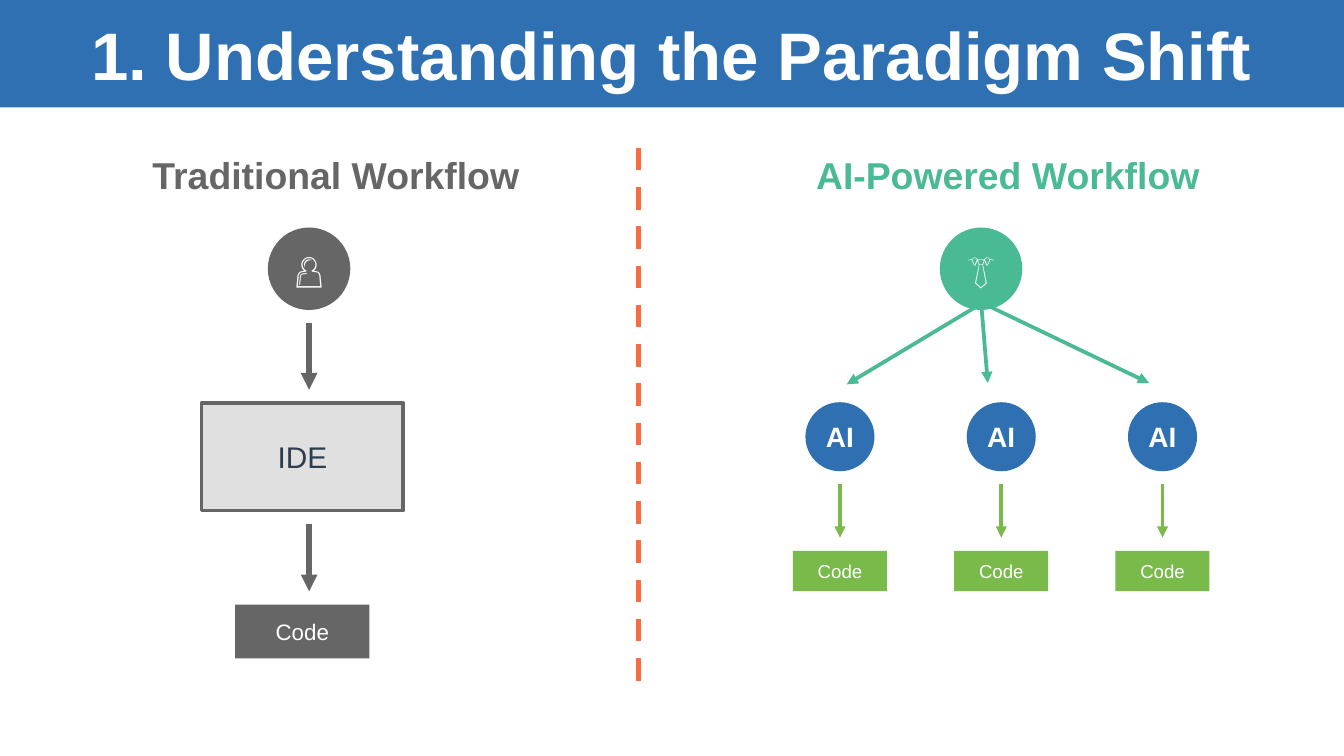
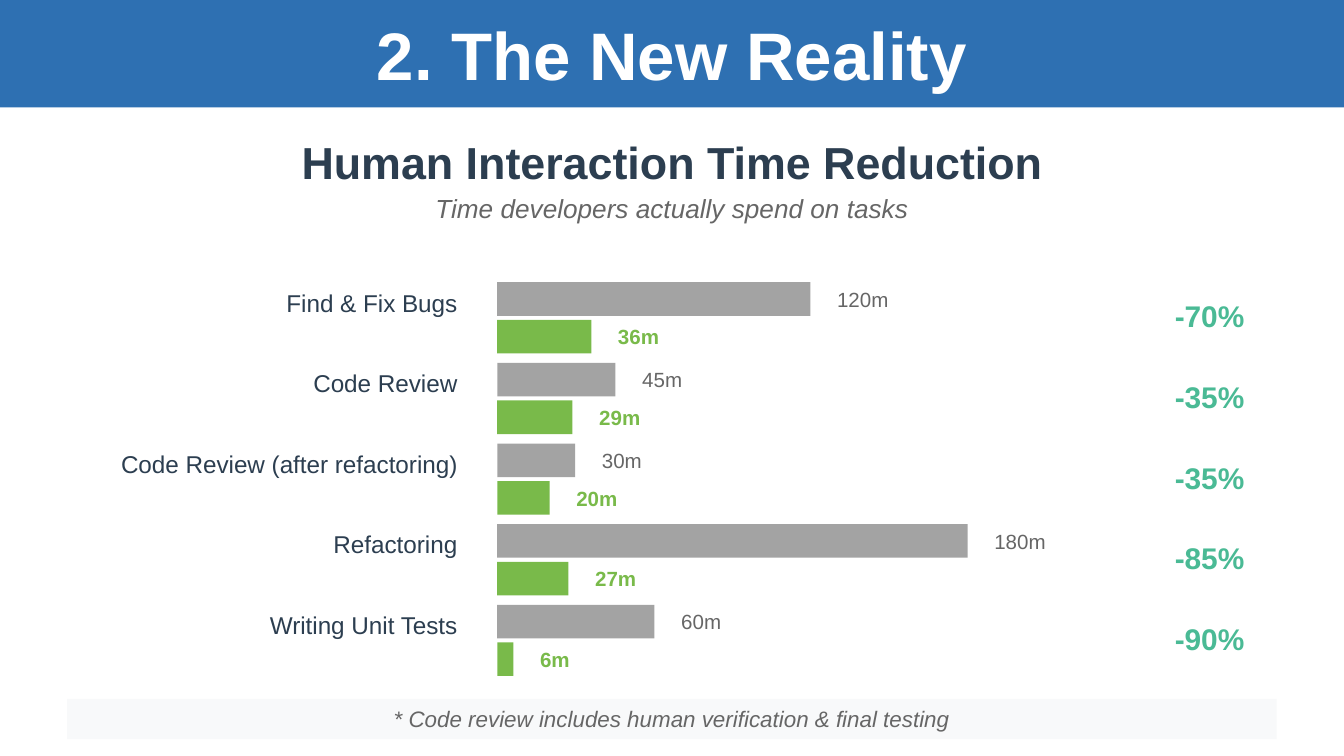
from collections import namedtuple
from dataclasses import dataclass

from lxml import etree
from pptx import Presentation
from pptx import util as u
from pptx.dml.color import RGBColor
from pptx.enum import dml, shapes, text
from pptx.oxml import ns

PX = 9144
RECT = shapes.MSO_SHAPE.RECTANGLE
OVAL = shapes.MSO_SHAPE.OVAL
LEFT, CENTER, RIGHT = text.PP_ALIGN.LEFT, text.PP_ALIGN.CENTER, text.PP_ALIGN.RIGHT


@dataclass(frozen=True)
class Theme:
    font: str = "Arial"
    white: str = "FFFFFF"
    blue: str = "2E70B2"
    grey: str = "666666"
    pale: str = "E0E0E0"
    ink: str = "2C3E50"
    teal: str = "4ABA95"
    green: str = "79BA4A"
    orange: str = "F56D40"
    note: str = "F8F9FA"
    title: int = 36
    subtitle: int = 24
    heading: int = 20
    icon: int = 18
    large: int = 16
    agent: int = 15
    tagline: int = 14
    label: int = 13
    body: int = 12
    value: int = 11
    small: int = 10


T = Theme()


class Box(namedtuple("Box", "x y w h")):
    def sub(self, dx, dy, w, h):
        return Box(self.x + dx, self.y + dy, w, h)

    def emu(self):
        return [v * PX for v in self]


def rgb(color):
    return RGBColor.from_string(color)


def write(tf, words, size=T.body, color=T.ink, align=CENTER, bold=False, italic=False):
    tf.vertical_anchor = text.MSO_ANCHOR.MIDDLE
    p = tf.paragraphs[0]
    p.alignment = align
    r = p.add_run()
    r.text = words
    f = r.font
    f.name, f.size, f.bold, f.italic = T.font, u.Pt(size), bold, italic
    f.color.rgb = rgb(color)


def add_text(s, box, words, **fmt):
    tf = s.shapes.add_textbox(*box.emu()).text_frame
    tf.word_wrap = True
    write(tf, words, **fmt)


def add_block(s, kind, box, fill, line=None, width=1, alpha=None, words=None, **fmt):
    sp = s.shapes.add_shape(kind, *box.emu())
    sp.shadow.inherit = False
    sp.fill.solid()
    sp.fill.fore_color.rgb = rgb(fill)
    if alpha:
        clr = sp._element.spPr.find(".//" + ns.qn("a:srgbClr"))
        etree.SubElement(clr, ns.qn("a:alpha"), val=str(alpha * 1000))
    if line:
        sp.line.color.rgb = rgb(line)
        sp.line.width = u.Pt(width)
    else:
        sp.line.fill.background()
    if words:
        tf = sp.text_frame
        tf.word_wrap = False
        tf.margin_left = tf.margin_right = tf.margin_top = tf.margin_bottom = 0
        write(tf, words, **fmt)


def add_line(s, x1, y1, x2, y2, color, width, arrow=True, dash=None):
    ends = [v * PX for v in (x1, y1, x2, y2)]
    c = s.shapes.add_connector(shapes.MSO_CONNECTOR.STRAIGHT, *ends)
    c.line.color.rgb = rgb(color)
    c.line.width = u.Pt(width)
    if dash:
        c.line.dash_style = dash
    spPr = c._element.spPr
    if arrow:
        etree.SubElement(spPr.find(ns.qn("a:ln")), ns.qn("a:tailEnd"), type="triangle")
    etree.SubElement(spPr, ns.qn("a:effectLst"))


def title_band(s, box, words):
    add_block(s, RECT, box, T.blue)
    add_text(s, box.sub(50, 10, box.w - 100, box.h - 20), words,
             size=T.title, color=T.white, bold=True)


def workflow_head(s, box, heading, icon, color):
    add_text(s, box.sub(0, 0, box.w, 40), heading, size=T.heading, color=color, bold=True)
    add_block(s, OVAL, box.sub(150, 60, 60, 60), color, line=color,
              words=icon, size=T.icon, color=T.white, bold=True)


def traditional_workflow(s, box):
    workflow_head(s, box, "Traditional Workflow", "👤", T.grey)
    x = box.x + 180
    for dy in (130, 280):
        add_line(s, x, box.y + dy, x, box.y + dy + 50, T.grey, 3)
    add_block(s, RECT, box.sub(100, 190, 150, 80), T.pale, line=T.grey, width=2,
              words="IDE", size=T.large)
    add_block(s, RECT, box.sub(125, 340, 100, 40), T.grey,
              words="Code", color=T.white)


def agent_lane(s, box):
    x = box.x + box.w // 2
    add_block(s, OVAL, box.sub(10, 0, 50, 50), T.blue, line=T.blue,
              words="AI", size=T.agent, color=T.white, bold=True)
    add_line(s, x, box.y + 60, x, box.y + 100, T.green, 2)
    add_block(s, RECT, box.sub(0, 110, box.w, 30), T.green,
              words="Code", size=T.small, color=T.white)


def ai_workflow(s, box):
    workflow_head(s, box, "AI-Powered Workflow", "👔", T.teal)
    for i, (tip, start) in enumerate(((80, 116), (185, 115), (305, 115))):
        y = box.y + start
        add_line(s, box.x + 180, y, box.x + tip, y + 60, T.teal, 2)
        agent_lane(s, box.sub(40 + 120 * i, 190, 70, 140))


def time_bar(s, box, minutes, peak, color, ink, **fmt):
    length = (2 * minutes * box.w + peak) // (2 * peak)
    add_block(s, RECT, box.sub(0, 0, length, box.h), color, **fmt)
    add_text(s, box.sub(length + 10, 0, 80, box.h), f"{minutes}m",
             size=T.value, color=ink, align=LEFT, bold=ink == T.green)


def time_chart(s, box, tasks):
    peak = max(before for _, before, _, _ in tasks)
    for i, (task, before, after, change) in enumerate(tasks):
        row = box.sub(0, 60 * i, box.w, 60)
        add_text(s, row.sub(0, 0, 300, 30), task, size=T.label, align=RIGHT)
        time_bar(s, row.sub(320, 0, 350, 25), before, peak, T.grey, T.grey, alpha=60)
        time_bar(s, row.sub(320, 28, 350, 25), after, peak, T.green, T.green)
        add_text(s, row.sub(800, 5, 100, 40), change,
                 size=T.large, color=T.teal, bold=True)


def chart_heading(s, box):
    add_text(s, box.sub(0, 0, box.w, 40), "Human Interaction Time Reduction",
             size=T.subtitle, bold=True)
    add_text(s, box.sub(0, 40, box.w, 30), "Time developers actually spend on tasks",
             size=T.tagline, color=T.grey, italic=True)


def new_slide(prs, title):
    s = prs.slides.add_slide(prs.slide_layouts[6])
    title_band(s, Box(0, 0, 1000, 80), title)
    return s


def paradigm_slide(prs):
    s = new_slide(prs, "1. Understanding the Paradigm Shift")
    traditional_workflow(s, Box(50, 110, 400, 400))
    add_line(s, 475, 110, 475, 510, T.orange, 3, arrow=False,
             dash=dml.MSO_LINE.DASH)
    ai_workflow(s, Box(550, 110, 400, 400))


def reality_slide(prs):
    s = new_slide(prs, "2. The New Reality")
    chart_heading(s, Box(50, 100, 900, 70))
    time_chart(s, Box(50, 210, 900, 300), [
        ("Find & Fix Bugs", 120, 36, "-70%"),
        ("Code Review", 45, 29, "-35%"),
        ("Code Review (after refactoring)", 30, 20, "-35%"),
        ("Refactoring", 180, 27, "-85%"),
        ("Writing Unit Tests", 60, 6, "-90%"),
    ])
    add_block(s, RECT, Box(50, 520, 900, 30), T.note,
              words="* Code review includes human verification & final testing",
              color=T.grey, italic=True)


def main():
    prs = Presentation()
    prs.slide_width = 1000 * PX
    prs.slide_height = prs.slide_width * 9 // 16
    paradigm_slide(prs)
    reality_slide(prs)
    prs.save("out.pptx")


if __name__ == "__main__":
    main()
